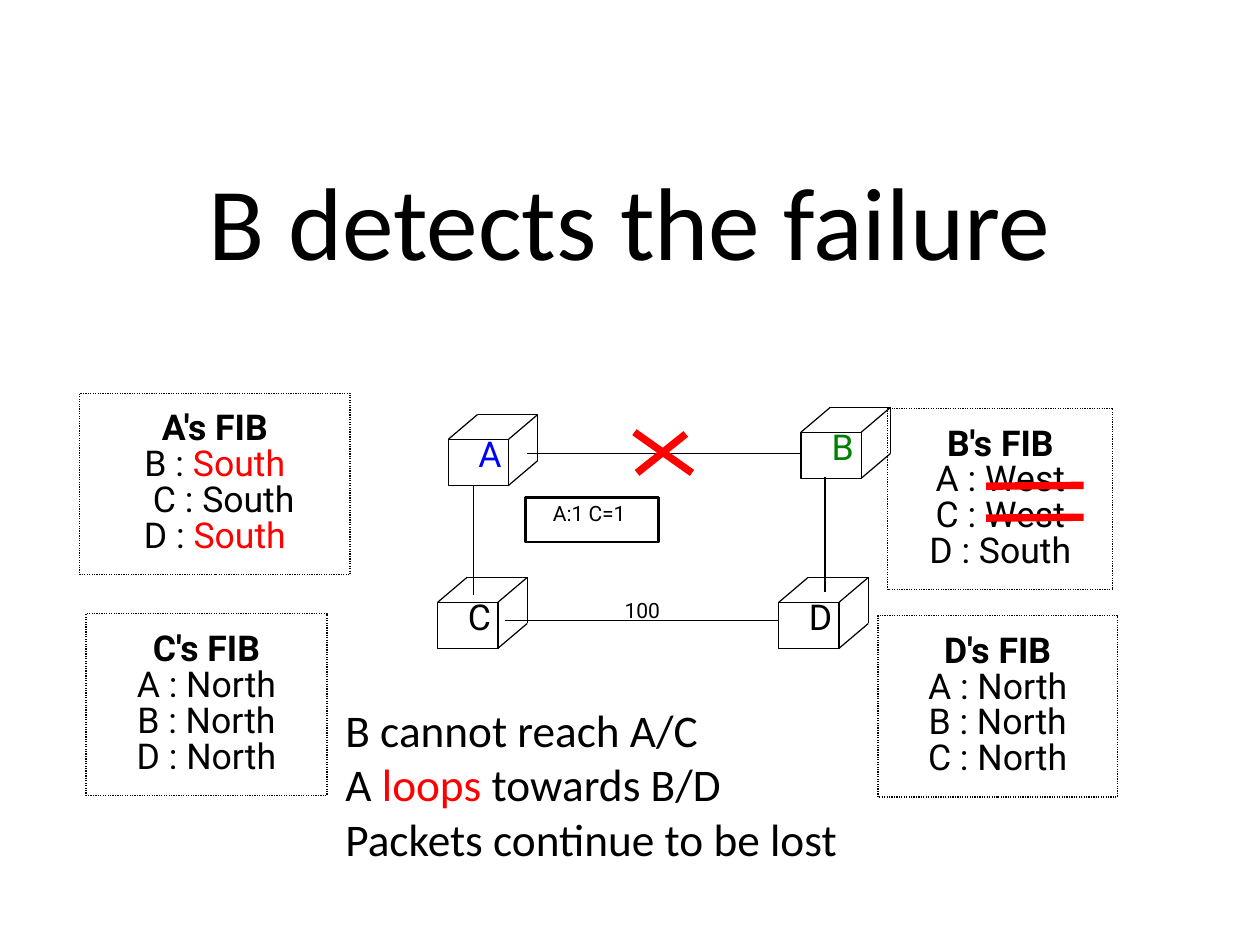
from dataclasses import dataclass

from lxml import etree
from pptx import Presentation
from pptx.dml.color import RGBColor
from pptx.enum.dml import MSO_LINE
from pptx.enum.shapes import MSO_CONNECTOR, MSO_SHAPE
from pptx.enum.text import MSO_ANCHOR, PP_ALIGN
from pptx.oxml.ns import qn
from pptx.util import Inches, Pt

RECT, STRAIGHT = MSO_SHAPE.RECTANGLE, MSO_CONNECTOR.STRAIGHT
TOP, MIDDLE, BOTTOM = MSO_ANCHOR.TOP, MSO_ANCHOR.MIDDLE, MSO_ANCHOR.BOTTOM
LEFT, CENTER = PP_ALIGN.LEFT, PP_ALIGN.CENTER
DOTTED = MSO_LINE.ROUND_DOT

# Grid of square cells, a tenth of an inch each
CELL = Inches(0.1)
COLS, ROWS = 142.2, 106.7


@dataclass(frozen=True)
class Theme:
    black: str = "000000"
    red: str = "FF0000"
    blue: str = "0000FF"
    green: str = "008000"
    heading_font: str = "Calibri"
    label_font: str = "Roboto"
    title: float = 84
    note: float = 36.8
    body: float = 28.9
    small: float = 17.1
    tight: float = 0.84
    thin: float = 1
    medium: float = 2
    thick: float = 6


def grid(*cells):
    return [round(c * CELL) for c in cells]


class Diagram:
    def __init__(self, s, theme):
        self.s, self.t = s, theme

    def run(self, p, text, size, font, color=None, bold=False):
        r = p.add_run()
        r.text = text
        r.font.size, r.font.name, r.font.bold = Pt(size), font, bold
        r.font.color.rgb = RGBColor.from_string(color or self.t.black)

    def text(self, x, y, w, h, paragraphs, size, font=None, anchor=TOP,
             align=CENTER, spacing=None, inset=0, wrap=True, indents=None):
        """Each paragraph is a list of (text, format) runs."""
        tf = self.s.shapes.add_textbox(*grid(x, y, w, h)).text_frame
        tf.word_wrap, tf.vertical_anchor = wrap, anchor
        tf.margin_left = tf.margin_right = Inches(inset)
        tf.margin_top = tf.margin_bottom = Inches(inset / 2)
        for i, runs in enumerate(paragraphs):
            p = tf.add_paragraph() if i else tf.paragraphs[0]
            p.alignment, p.line_spacing = align, spacing
            if indents and i in indents:
                p._p.get_or_add_pPr().set("marL", str(round(indents[i] * CELL)))
            for words, fmt in runs:
                self.run(p, words, size, font or self.t.label_font, **fmt)

    def label(self, x, y, w, h, paragraphs, size, **fmt):
        self.text(x, y, w, h, paragraphs, size, spacing=self.t.tight, **fmt)

    def line(self, x1, y1, x2, y2, color=None, width=None):
        c = self.s.shapes.add_connector(STRAIGHT, *grid(x1, y1, x2, y2))
        c.line.color.rgb = RGBColor.from_string(color or self.t.black)
        c.line.width = Pt(width or self.t.thin)
        etree.SubElement(c._element.spPr, qn("a:effectLst"))

    def frame(self, x, y, w, h, width=None, dash=None):
        sp = self.s.shapes.add_shape(RECT, *grid(x, y, w, h))
        sp.shadow.inherit = False
        sp.fill.background()
        sp.line.color.rgb = RGBColor.from_string(self.t.black)
        sp.line.width = Pt(width or self.t.thin)
        if dash:
            sp.line.dash_style = dash

    def router(self, x, y, name, color):
        """Cube with its front face at x, y."""
        w, h, dx, dy = 6.8, 5.2, 3.3, 2.8
        self.frame(x, y, w, h)
        for cx, cy in ((x, y), (x + w, y), (x + w, y + h)):
            self.line(cx, cy, cx + dx, cy - dy)
        self.line(x + dx, y - dy, x + w + dx, y - dy)
        self.line(x + w + dx, y - dy, x + w + dx, y + h - dy)
        self.label(x + dx, y, 2.8, 4.2, [[(name, {"color": color})]],
                   self.t.body, wrap=False)

    def fib(self, x, y, w, name, routes, looping=(), indents=None):
        """Forwarding table: a bold heading and one route per line."""
        h, pad = 20.5, 2.1
        self.frame(x, y, w, h, dash=DOTTED)
        lines = [[(f"{name}'s FIB", {"bold": True})]]
        for dest, way in routes:
            color = self.t.red if dest in looping else self.t.black
            lines.append([(f"{dest} : ", {}), (way, {"color": color})])
        self.label(x, y + pad, w, h - 2 * pad, lines, self.t.body,
                   anchor=MIDDLE, indents=indents)


def main():
    prs = Presentation()
    prs.slide_width, prs.slide_height = grid(COLS, ROWS)
    t = Theme()
    d = Diagram(prs.slides.add_slide(prs.slide_layouts[6]), t)

    # Title
    d.text(13.9, 17.9, 114.4, 14.3, [[("B detects the failure", {})]], t.title,
           font=t.heading_font, anchor=BOTTOM, inset=0.1)

    # Routers
    for x, y, name, color in ((50.6, 49.6, "A", t.blue), (90.4, 48.8, "B", t.green),
                              (49.4, 68, "C", t.black), (87.9, 68, "D", t.black)):
        d.router(x, y, name, color)

    # Links and the cost of C-D
    for ends in ((57, 70.1, 87.9, 70.1), (59.5, 51.2, 90.4, 51.2),
                 (53.4, 54.8, 53.4, 67.2), (93.1, 53.9, 93.1, 66.8)):
        d.line(*ends)
    d.label(57, 67.9, 31, 2.3, [[("100", {})]], t.small)

    # Forwarding tables
    d.fib(9, 44.4, 30.5, "A", [(n, "South") for n in "BCD"],
          looping="BD", indents={2: 2})
    d.fib(99.1, 69.5, 27, "D", [(n, "North") for n in "ABC"])
    d.fib(9.7, 69.3, 27.2, "C", [(n, "North") for n in "ABD"])
    d.fib(100.2, 46.1, 25.4, "B", [("A", "West"), ("C", "West"), ("D", "South")])

    # Failed link and withdrawn routes
    for ends in ((71.6, 48.8, 78.1, 53.4), (71.9, 53.4, 77.4, 49),
                 (111.3, 54.9, 122.3, 54.8), (111.3, 58.5, 122.3, 58.4)):
        d.line(*ends, color=t.red, width=t.thick)

    # Consequences
    d.text(38, 78.8, 58.7, 19.5,
           [[("B cannot reach A/C", {})],
            [("A ", {}), ("loops", {"color": t.red}), (" towards B/D", {})],
            [("Packets continue to be lost", {})]],
           t.note, font=t.heading_font, align=LEFT, inset=0.1)

    # Distance vector message
    d.frame(59.3, 56.2, 15, 5, width=t.medium)
    d.label(59.3, 56.5, 14.4, 3.4, [[("A:1 C=1", {})]], t.small, anchor=MIDDLE)

    prs.save("out.pptx")


if __name__ == "__main__":
    main()
